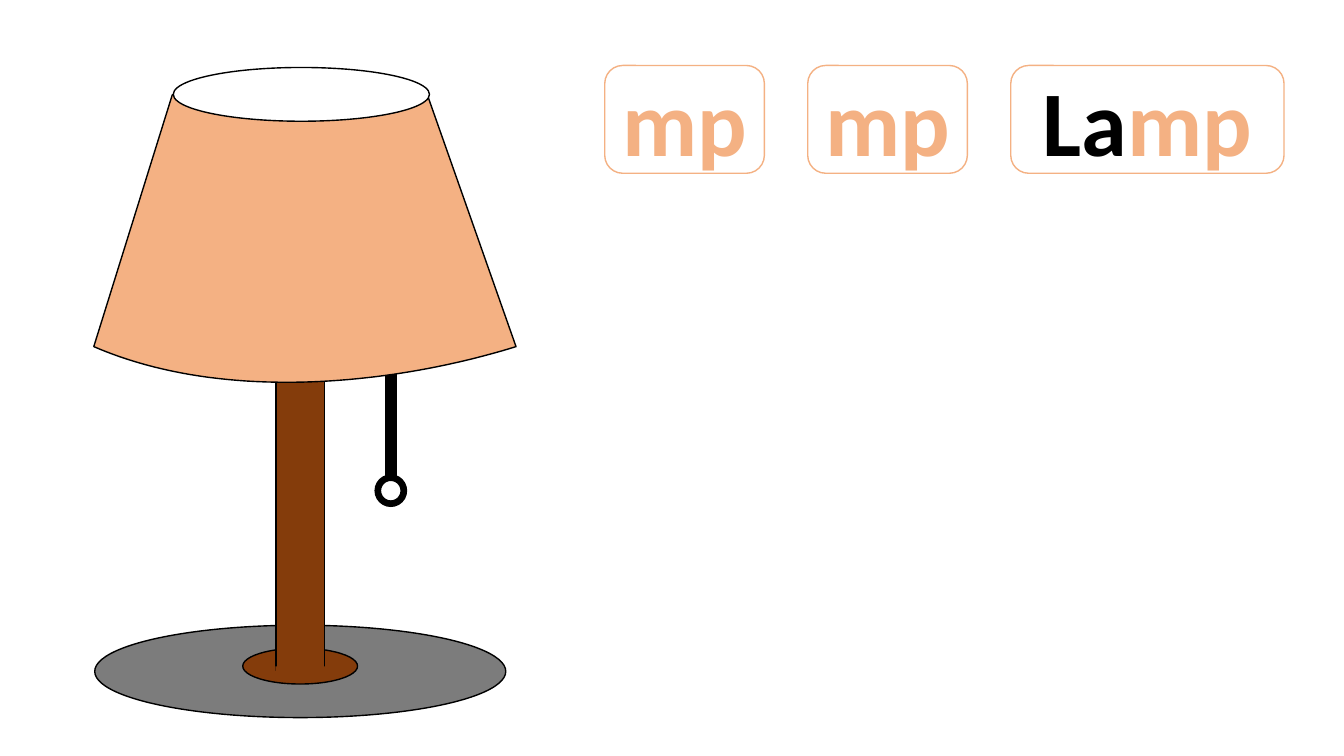
from pptx import Presentation
from pptx.dml.color import RGBColor
from pptx.enum.shapes import MSO_SHAPE as Kind
from pptx.enum.text import MSO_ANCHOR as Anchor, PP_ALIGN as Align
from pptx.util import Pt

INK = {
    "black": "000000",
    "white": "FFFFFF",
    "peach": "F4B183",
    "brown": "843C0B",
    "gray": "7C7C7C",
}


def tint(name):
    return RGBColor.from_string(INK[name])


def paint(shape, fill, line):
    shape.shadow.inherit = False
    shape.fill.solid()
    shape.fill.fore_color.rgb = tint(fill)
    if line:
        shape.line.color.rgb = tint(line)
        shape.line.width = Pt(1)
    else:
        shape.line.fill.background()


def add_part(shapes, kind, box, fill, line="black"):
    part = shapes.add_shape(kind, *map(Pt, box))
    paint(part, fill, line)
    return part


def add_card(shapes, left, width, runs):
    card = add_part(shapes, Kind.ROUNDED_RECTANGLE,
                    (left, 46.8, width, 77), "white", "peach")
    frame = card.text_frame
    frame.word_wrap = True
    frame.vertical_anchor = Anchor.MIDDLE
    line = frame.paragraphs[0]
    line.alignment = Align.CENTER
    for text, color in runs:
        run = line.add_run()
        run.text = text
        run.font.name = "Calibri"
        run.font.size = Pt(66)
        run.font.bold = True
        run.font.color.rgb = tint(color)


def curve(a, b, c, d, steps=48):
    """Return points along a cubic Bezier curve."""
    points = []
    for step in range(steps + 1):
        t = step / steps
        u = 1 - t
        points.append(tuple(
            u**3 * p + 3 * u * u * t * q + 3 * u * t * t * r + t**3 * s
            for p, q, r, s in zip(a, b, c, d)))
    return points


def add_shade(shapes):
    rim = curve((67, 247.6), (162, 288.7), (285.1, 273.6), (368.6, 247.6))
    edge = [(Pt(x), Pt(y)) for x, y in rim + [(306, 69.8), (123.1, 67.7)]]
    pen = shapes.build_freeform(*edge[0])
    pen.add_line_segments(edge[1:], close=True)
    paint(pen.convert_to_shape(), "peach", "black")


def add_lamp(shapes):
    cord = shapes.add_group_shape().shapes
    add_part(cord, Kind.RECTANGLE, (275.8, 259.2, 7.2, 82), "black")
    ring = add_part(cord, Kind.DONUT, (268, 339.3, 22.4, 22.4), "black")
    ring.adjustments[0] = 0.17

    lamp = shapes.add_group_shape().shapes
    add_part(lamp, Kind.OVAL, (67.7, 446.6, 293.6, 66), "gray")
    add_part(lamp, Kind.OVAL, (173.4, 463, 82, 25.6), "brown")
    add_part(lamp, Kind.RECTANGLE, (197, 223.2, 35, 255.6), "brown")
    add_part(lamp, Kind.RECTANGLE, (196.6, 476, 39.6, 7.2), "brown", None)
    add_shade(lamp)
    add_part(lamp, Kind.OVAL, (123.8, 48.2, 183, 38.4), "white")


def main():
    deck = Presentation()
    deck.slide_width, deck.slide_height = Pt(960), Pt(540)
    shapes = deck.slides.add_slide(deck.slide_layouts[6]).shapes
    end = ("mp", "peach")
    for left, width, runs in (
            (432, 114, [end]),
            (577, 114, [end]),
            (722, 195.2, [("La", "black"), end])):
        add_card(shapes, left, width, runs)
    add_lamp(shapes)
    deck.save("out.pptx")


if __name__ == "__main__":
    main()
